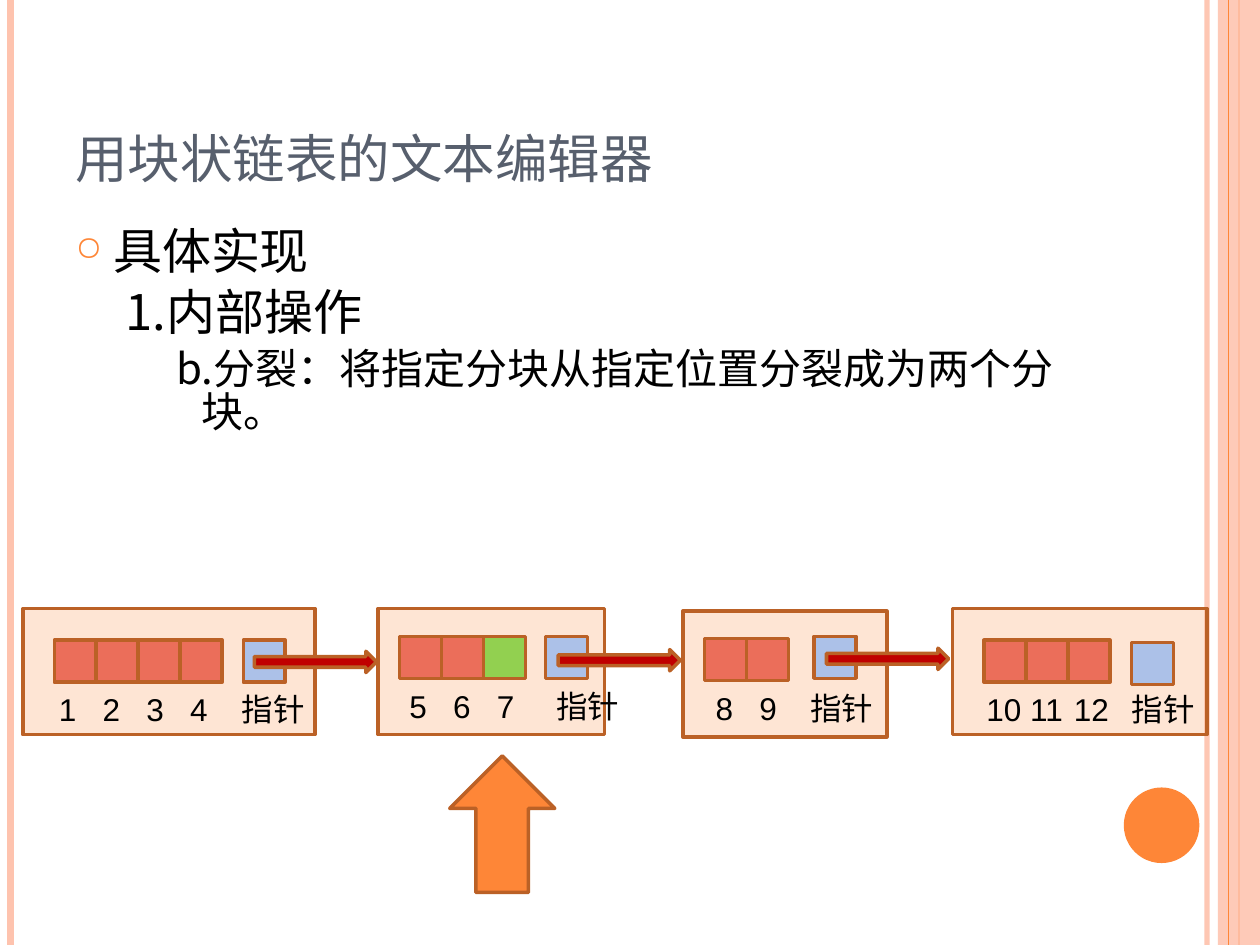
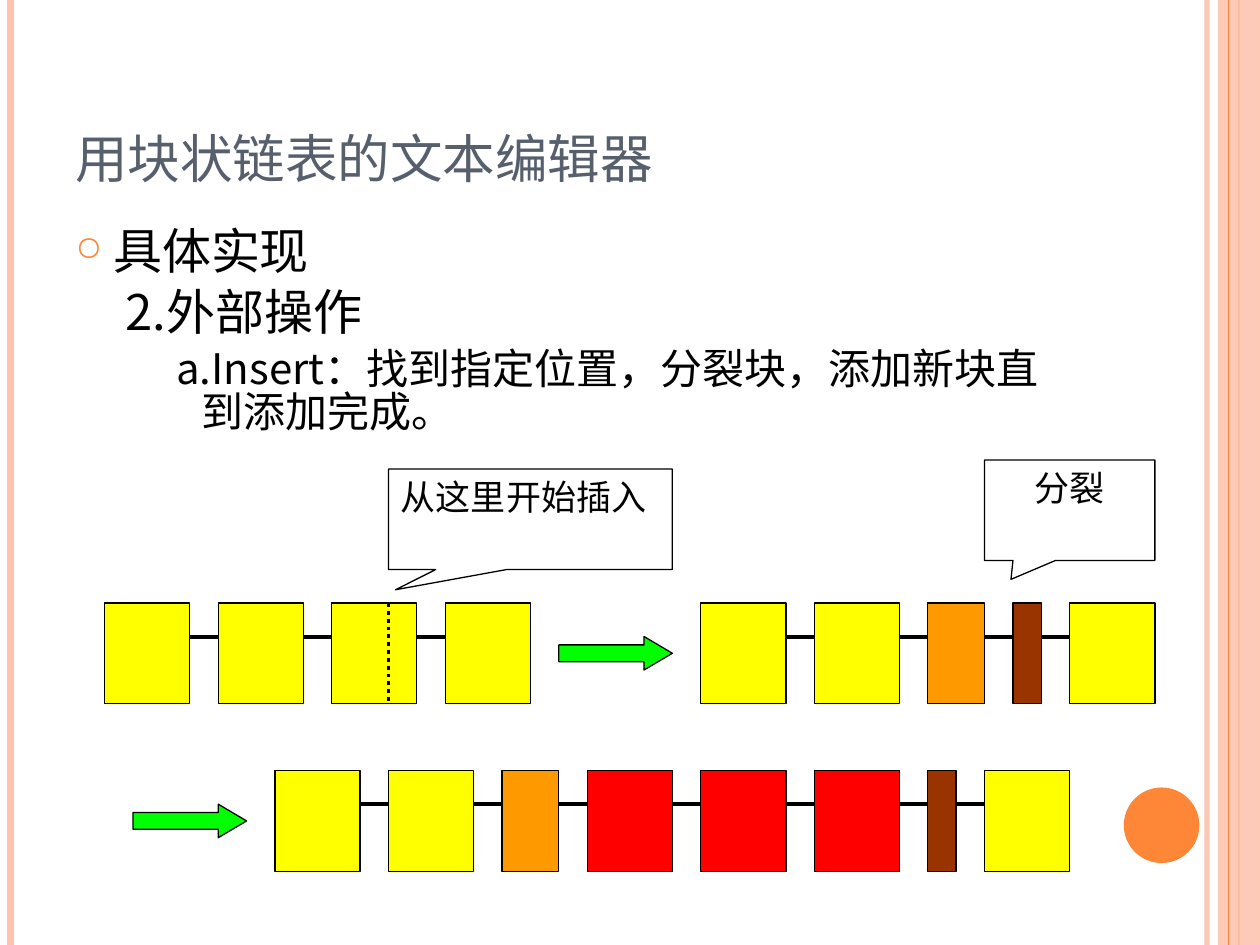
"""Build two slides on a text editor made with a block linked list."""
from itertools import accumulate

from lxml import etree
from pptx import Presentation
from pptx import util as u
from pptx.dml.color import RGBColor
from pptx.enum import dml, shapes, text
from pptx.oxml.ns import qn

CJK = "Noto Sans CJK JP"
ORANGE, PEACH, RUST, SLATE, BLACK = "FE8637", "FEC3AE", "BB6126", "575F6D", "000000"
CORAL, GREEN, BLUE, CRIMSON = "EB6E5A", "92D050", "ACC1E8", "C00000"
YELLOW, AMBER, BROWN, RED, LIME = "FFFF00", "FF9900", "993300", "FF0000", "00FF00"
CELL, DIGIT_STEP = 24, 25
GRID_LEFT, UNIT, UNIT_HEIGHT = 59.8, 16.22, 19.15


def color(hex_string):
    return RGBColor.from_string(hex_string)


def apply(target, values):
    for name, value in values.items():
        setattr(target, name, value)


def add_xml(parent, tag, **attributes):
    return etree.SubElement(parent, qn(tag), attributes)


def grid_x(column):
    return GRID_LEFT + column * UNIT


class Deck:
    """Holds the presentation, its shared style and the current slide."""

    frame_format = dict(
        word_wrap=True, auto_size=text.MSO_AUTO_SIZE.NONE,
        margin_left=u.Pt(7.2), margin_right=u.Pt(7.2),
        margin_top=u.Pt(3.6), margin_bottom=u.Pt(3.6))

    def __init__(self):
        self.presentation = Presentation()
        apply(self.presentation, dict(slide_width=u.Pt(720), slide_height=u.Pt(540)))
        self.slide = None

    def new_slide(self, title, items):
        self.slide = self.presentation.slides.add_slide(self.presentation.slide_layouts[6])
        for x, line_color, width, opacity in (
                (689.8, PEACH, 3, 93), (6, PEACH, 4.5, 100), (708, ORANGE, 1.5, 100)):
            self.line(x, 0, x, 540, line_color, width, opacity)
        self.shape("RECTANGLE", 696, 0, 24, 540, PEACH, opacity=87)
        self.line(702, 0, 702, 540, ORANGE, 0.75)
        self.shape("OVAL", 642.2, 450, 43.2, 43.2, ORANGE)
        frame = self.text_box(36, 21.6, 588, 90)
        frame.vertical_anchor = text.MSO_ANCHOR.BOTTOM
        self.paragraph(frame.paragraphs[0], title, 30, CJK, SLATE)
        self.outline(items)

    def outline(self, items):
        frame = self.text_box(36, 128, 588, 382)
        levels = ((21.6, -21.6, 0, 28), (50.4, -21.6, 6.5, 28), (72, -14.4, 6, 24))
        for level, (item, (margin, indent, before, size)) in enumerate(zip(items, levels)):
            paragraph = frame.paragraphs[0] if level == 0 else frame.add_paragraph()
            apply(paragraph, dict(level=level, line_spacing=0.84, space_before=u.Pt(before)))
            properties = paragraph._p.get_or_add_pPr()
            properties.set("marL", str(u.Pt(margin)))
            properties.set("indent", str(u.Pt(indent)))
            if level == 0:
                add_xml(add_xml(properties, "a:buClr"), "a:srgbClr", val=ORANGE)
                add_xml(properties, "a:buSzPct", val="70000")
                add_xml(properties, "a:buChar", char="○")
            else:
                add_xml(properties, "a:buNone")
            self.paragraph(paragraph, item, size, CJK)

    def paragraph(self, paragraph, content, size, font, font_color=BLACK):
        run = paragraph.add_run()
        run.text = content
        apply(run.font, dict(size=u.Pt(size), name=font))
        run.font.color.rgb = color(font_color)
        add_xml(run._r.get_or_add_rPr(), "a:ea", typeface=CJK)

    def text_box(self, *box):
        frame = self.slide.shapes.add_textbox(*map(u.Pt, box)).text_frame
        apply(frame, self.frame_format)
        return frame

    def label(self, x, y, words, stops):
        frame = self.text_box(x, y, 180, 29)
        frame.word_wrap = False
        paragraph = frame.paragraphs[0]
        tabs = add_xml(paragraph._p.get_or_add_pPr(), "a:tabLst")
        for stop in stops:
            add_xml(tabs, "a:tab", pos=str(u.Pt(stop)), algn="l")
        self.paragraph(paragraph, "\t".join(words), 18, "Arial")

    def shape(self, kind, x, y, width, height, fill, outline=None, weight=0.75,
              opacity=100, adjustments=()):
        shape = self.slide.shapes.add_shape(
            getattr(shapes.MSO_SHAPE, kind), *map(u.Pt, (x, y, width, height)))
        shape.shadow.inherit = False
        shape.fill.solid()
        shape.fill.fore_color.rgb = color(fill)
        self.fade(shape, opacity)
        if outline:
            shape.line.color.rgb = color(outline)
            shape.line.width = u.Pt(weight)
        else:
            shape.line.fill.background()
        for index, value in enumerate(adjustments):
            shape.adjustments[index] = value
        return shape

    def fade(self, shape, opacity):
        if opacity < 100:
            fill_color = next(shape._element.spPr.iter(qn("a:srgbClr")))
            add_xml(fill_color, "a:alpha", val=str(opacity * 1000))

    def line(self, x1, y1, x2, y2, line_color=BLACK, width=2.25, opacity=100):
        connector = self.slide.shapes.add_connector(
            shapes.MSO_CONNECTOR.STRAIGHT, *map(u.Pt, (x1, y1, x2, y2)))
        connector.line.color.rgb = color(line_color)
        connector.line.width = u.Pt(width)
        self.fade(connector, opacity)
        add_xml(connector._element.spPr, "a:effectLst")
        return connector

    def list_block(self, frame, cells, pointer, label, values, pointer_stop):
        left, top, width = frame
        self.shape("RECTANGLE", left, top, width, 72, ORANGE, RUST, 2, 21)
        for index, value in enumerate(values):
            self.shape("RECTANGLE", cells[0] + index * CELL, cells[1], CELL, CELL,
                       GREEN if value == "7" else CORAL, RUST, 2)
        self.shape("RECTANGLE", *pointer, CELL, CELL, BLUE, RUST, 2)
        stops = [DIGIT_STEP * index for index in range(1, len(values))]
        self.label(*label, [*values, "指针"], [*stops, pointer_stop])

    def chain(self, column, y, nodes):
        widths = [width for width, _ in nodes]
        columns = list(accumulate((width + 1 for width in widths), initial=column))
        for start, (width, fill) in zip(columns, nodes):
            self.shape("RECTANGLE", grid_x(start), y, width * UNIT, 3 * UNIT_HEIGHT,
                       fill, BLACK)
        for start in columns[1:-1]:
            self.line(grid_x(start - 1), y + UNIT_HEIGHT, grid_x(start), y + UNIT_HEIGHT)

    def step_arrow(self, column, row_y):
        self.shape("RIGHT_ARROW", grid_x(column), row_y + UNIT_HEIGHT, 4 * UNIT, UNIT_HEIGHT,
                   LIME, BLACK, adjustments=(0.5, 0.846))

    def callout(self, column, y, columns, words, alignment, tip):
        shape = self.shape("RECTANGULAR_CALLOUT", grid_x(column), y, columns * UNIT,
                           3 * UNIT_HEIGHT, "FFFFFF", BLACK, adjustments=tip)
        frame = shape.text_frame
        apply(frame, self.frame_format)
        frame.vertical_anchor = text.MSO_ANCHOR.TOP
        frame.paragraphs[0].alignment = alignment
        self.paragraph(frame.paragraphs[0], words, 20, "Times New Roman")


def split_slide(deck, title):
    deck.new_slide(title, ("具体实现", "1.内部操作",
                           "b.分裂：将指定分块从指定位置分裂成为两个分块。"))
    blocks = (
        ((13, 347.8, 167), (31, 365.8), (139, 365.8), (26.6, 391), "1 2 3 4", 104.6),
        ((216, 347.8, 129.6), (228.2, 363.6), (311.8, 363.6), (226.8, 388.8), "5 6 7", 84),
        ((390.2, 349.2, 116.6), (402.5, 365), (465.1, 363.6), (401.9, 390.2), "8 9", 54),
        ((544.3, 347.8, 145.4), (562.3, 365.8), (646.6, 367.2), (556.6, 391), "10 11 12", 83),
    )
    for *places, values, pointer_stop in blocks:
        deck.list_block(*places, values.split(), pointer_stop)
    for x, y in ((145.4, 372.2), (319, 371.2), (472.3, 370.4)):
        deck.shape("RIGHT_ARROW", x, y, 69.8, 12.2, CRIMSON, RUST, 2)
    deck.shape("UP_ARROW", 257, 432, 60, 78, ORANGE, RUST, 2)


def insert_slide(deck, title):
    deck.new_slide(title, ("具体实现", "2.外部操作",
                           "a.Insert：找到指定位置，分裂块，添加新块直到添加完成。"))
    first_row, second_row = 344.6, 440.4
    whole, head, tail, added = (3, YELLOW), (2, AMBER), (1, BROWN), (3, RED)
    deck.chain(0, first_row, [whole] * 4)
    split_x = grid_x(10)
    split_line = deck.line(split_x, first_row, split_x, first_row + 3 * UNIT_HEIGHT)
    split_line.line.dash_style = dml.MSO_LINE.ROUND_DOT
    deck.step_arrow(16, first_row)
    deck.chain(21, first_row, [whole, whole, head, tail, whole])
    deck.step_arrow(1, second_row)
    deck.chain(6, second_row, [whole, whole, head, *[added] * 3, tail, whole])
    deck.callout(10, 268, 10, "从这里开始插入", text.PP_ALIGN.JUSTIFY, (-0.475, 0.701))
    deck.callout(31, 262.8, 6, "分裂", text.PP_ALIGN.CENTER, (-0.345, 0.688))


def main():
    deck = Deck()
    title = "用块状链表的文本编辑器"
    split_slide(deck, title)
    insert_slide(deck, title)
    deck.presentation.save("out.pptx")


if __name__ == "__main__":
    main()
